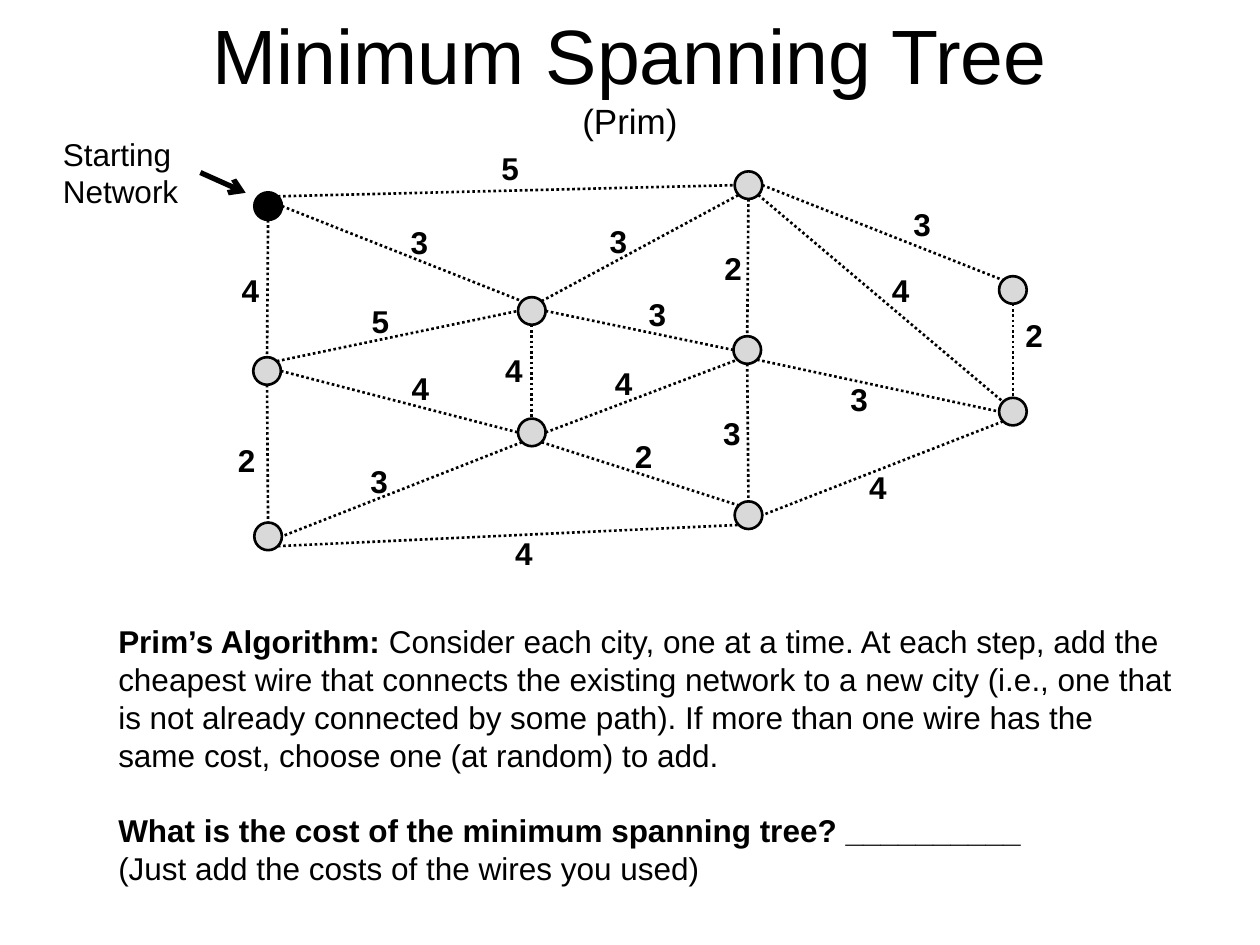
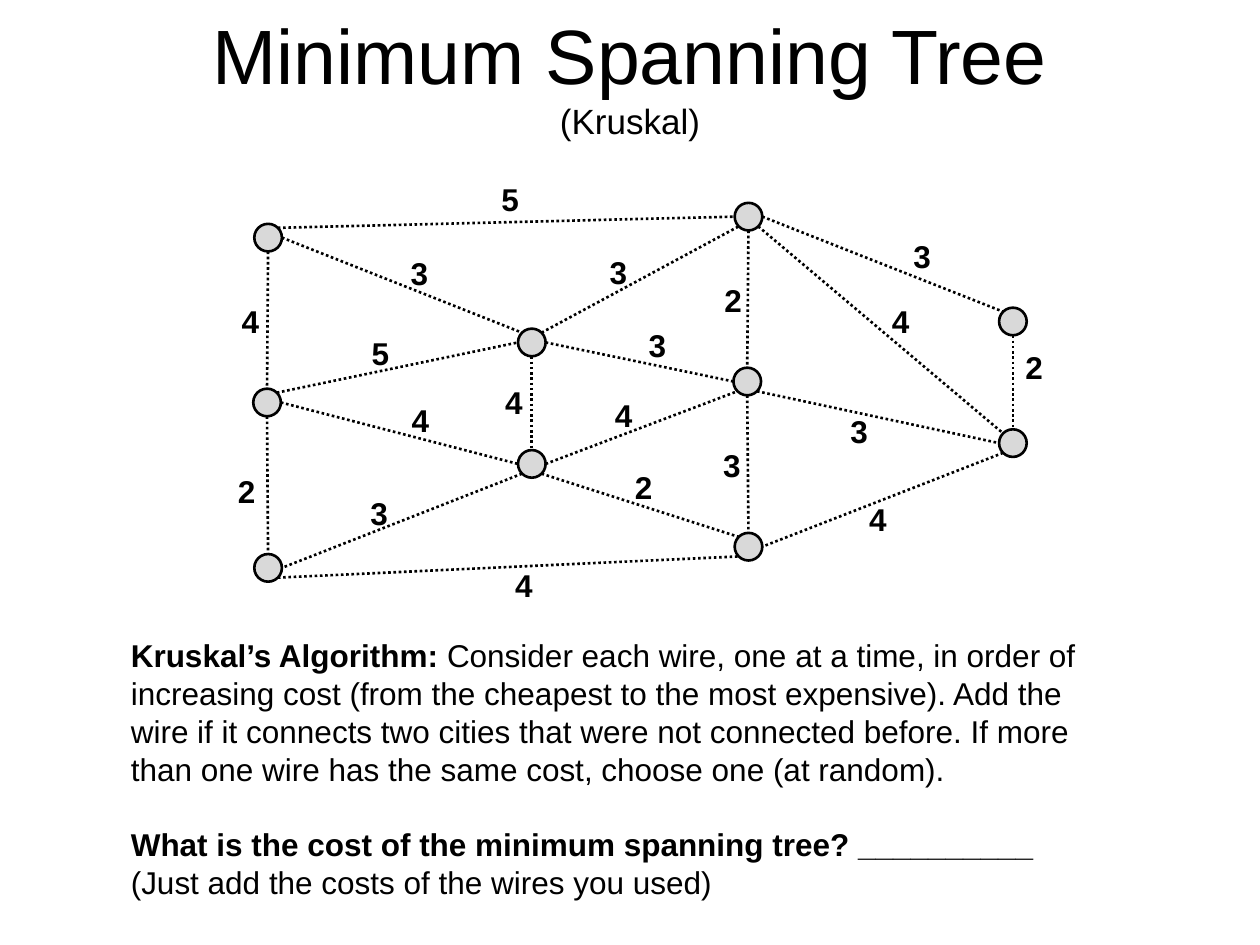
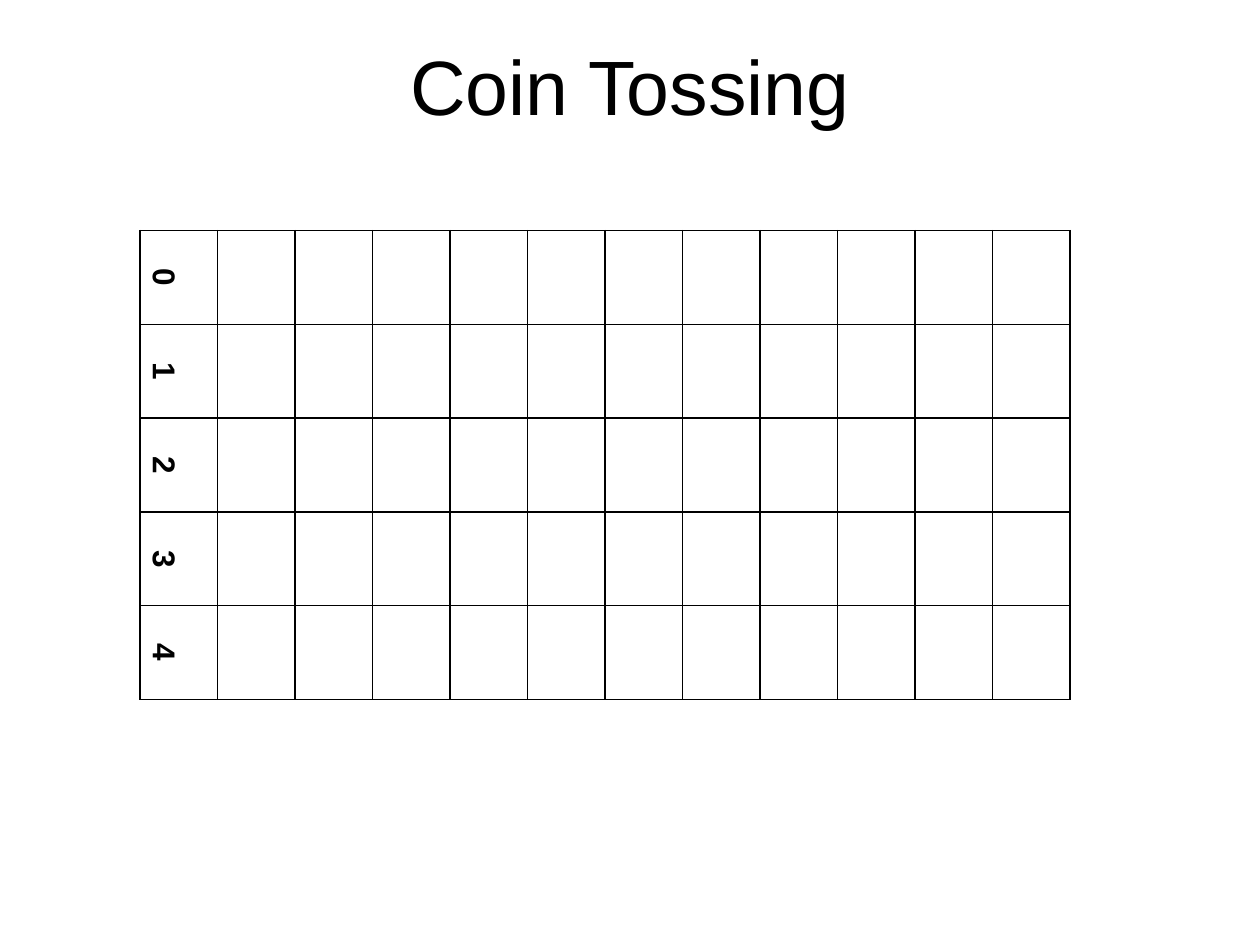
from lxml.etree import SubElement
from pptx import Presentation
from pptx.dml.color import RGBColor
from pptx.enum.dml import MSO_LINE
from pptx.enum.shapes import MSO_CONNECTOR, MSO_SHAPE
from pptx.enum.text import MSO_ANCHOR, MSO_AUTO_SIZE, PP_ALIGN
from pptx.oxml.ns import qn
from pptx.util import Pt

COLORS = {"ink": "000000", "city": "D9D9D9", "paper": "FFFFFF"}
FONT = "Arial"
BODY_SIZE = 18
LINE_HEIGHT = 21.6
CITY_RADIUS = 7.9
DIAGONAL = 0.707

SIDES = {
    "N": (0, -1), "S": (0, 1), "W": (-1, 0), "E": (1, 0),
    "NW": (-DIAGONAL, -DIAGONAL), "NE": (DIAGONAL, -DIAGONAL),
    "SW": (-DIAGONAL, DIAGONAL), "SE": (DIAGONAL, DIAGONAL),
}

CITIES = {
    "west_top": (153.2, 117.8), "west_middle": (152.6, 212), "west_bottom": (153.2, 306.5),
    "inner_top": (303.9, 177.7), "inner_bottom": (303.9, 247.1),
    "middle_top": (427.7, 105.8), "middle": (427, 200), "middle_bottom": (427.7, 294.4),
    "east_top": (578.8, 165.7), "east_bottom": (578.8, 235.2),
}

WIRES = [
    ("middle_top", "S", "middle", "N", 2, (406.8, 139)),
    ("middle", "S", "middle_bottom", "N", 3, (406.1, 233.3)),
    ("middle_top", "E", "east_top", "NW", 3, (514.8, 113.8)),
    ("east_top", "S", "east_bottom", "N", 2, (578.9, 177.1)),
    ("east_bottom", "SW", "middle_bottom", "E", 4, (489.6, 264.2)),
    ("west_top", "S", "west_middle", "N", 4, (131, 151.2)),
    ("west_middle", "S", "west_bottom", "N", 2, (128.9, 248.4)),
    ("west_top", "E", "inner_top", "NW", 3, (227.5, 123.8)),
    ("inner_top", "S", "inner_bottom", "N", 4, (281.5, 197.3)),
    ("inner_bottom", "SW", "west_bottom", "E", 3, (204.5, 260.6)),
    ("west_top", "NE", "middle_top", "W", 5, (279.4, 81.4)),
    ("west_bottom", "SE", "middle_bottom", "SW", 4, (287.3, 301.7)),
    ("west_middle", "NE", "inner_top", "W", 5, (205.2, 169.2)),
    ("west_middle", "E", "inner_bottom", "W", 4, (228.2, 207.4)),
    ("inner_top", "NE", "middle_top", "SW", 3, (341.3, 123.1)),
    ("inner_top", "E", "middle", "W", 3, (363.6, 164.9)),
    ("inner_bottom", "E", "middle", "SW", 4, (344.2, 204.5)),
    ("inner_bottom", "SE", "middle_bottom", "NW", 2, (355.7, 246.2)),
    ("middle_top", "SE", "east_bottom", "NW", 4, (502.6, 151.2)),
    ("middle", "SE", "east_bottom", "W", 3, (478.8, 213.8)),
]

PRIM = [
    "Consider each city, one at a time. At each step, add the cheapest wire that "
    "connects the existing network to a new city (i.e., one that is not already "
    "connected by some path). If more than one wire has the same cost, choose one "
    "(at random) to add.",
]
KRUSKAL = [
    "Consider each wire, one at a time, in order of increasing cost (from the "
    "cheapest to the most expensive). Add the",
    "wire if it connects two cities that were not connected before. If more than "
    "one wire has the same cost, choose one (at random).",
]


def color(name):
    return RGBColor.from_string(COLORS[name])


def add_span(para, text, size=BODY_SIZE, bold=False):
    span = para.add_run()
    span.text = text
    span.font.name = FONT
    span.font.size = Pt(size)
    span.font.bold = bold
    span.font.color.rgb = color("ink")


def add_text(page, left, top, width, height, paragraphs):
    box = page.shapes.add_textbox(Pt(left), Pt(top), Pt(width), Pt(height))
    frame = box.text_frame
    frame.word_wrap = True
    for index, (space_before, spans) in enumerate(paragraphs):
        para = frame.add_paragraph() if index else frame.paragraphs[0]
        para.space_before = Pt(space_before)
        for text, bold in spans:
            add_span(para, text, bold=bold)


def add_page(deck, title, top, height, subtitle=None):
    page = deck.slides.add_slide(deck.slide_layouts[5])
    box = page.shapes.title
    box.left, box.top, box.width, box.height = Pt(36), Pt(top), Pt(648), Pt(height)
    frame = box.text_frame
    frame.auto_size = MSO_AUTO_SIZE.NONE
    frame.vertical_anchor = MSO_ANCHOR.MIDDLE
    para = frame.paragraphs[0]
    para.alignment = PP_ALIGN.CENTER
    add_span(para, title, size=44)
    if subtitle:
        para.add_line_break()
        add_span(para, subtitle, size=20)
    return page


def add_line(page, start, end, width, dash=None, arrow=False):
    line = page.shapes.add_connector(MSO_CONNECTOR.STRAIGHT, *map(Pt, (*start, *end)))
    line.line.color.rgb = color("ink")
    line.line.width = Pt(width)
    if dash:
        line.line.dash_style = dash
    properties = line._element.spPr
    if arrow:
        SubElement(properties.find(qn("a:ln")), qn("a:tailEnd"), type="arrow")
    SubElement(properties, qn("a:effectLst"))


def add_city(page, center, fill):
    x, y = center
    city = page.shapes.add_shape(
        MSO_SHAPE.OVAL, Pt(x - CITY_RADIUS), Pt(y - CITY_RADIUS),
        Pt(2 * CITY_RADIUS), Pt(2 * CITY_RADIUS))
    city.shadow.inherit = False
    city.fill.solid()
    city.fill.fore_color.rgb = color(fill)
    city.line.color.rgb = color("ink")
    city.line.width = Pt(1.5)


def add_network(page, drop=0, start_city=None):
    centers = {name: (x, y + drop) for name, (x, y) in CITIES.items()}

    def rim(name, side):
        return [c + CITY_RADIUS * step for c, step in zip(centers[name], SIDES[side])]

    for name, center in centers.items():
        add_city(page, center, "ink" if name == start_city else "city")
    for first, first_side, second, second_side, cost, (left, top) in WIRES:
        add_line(page, rim(first, first_side), rim(second, second_side), 1.5,
                 dash=MSO_LINE.ROUND_DOT)
        add_text(page, left, top + drop, 22.3, 28.8, [(0, [(str(cost), True)])])


def add_algorithm(page, name, steps, left, top, width):
    paragraphs = [(0, [(f"{name}’s Algorithm: ", True), (steps[0], False)])]
    paragraphs += [(0, [(step, False)]) for step in steps[1:]]
    paragraphs += [
        (LINE_HEIGHT, [("What is the cost of the minimum spanning tree? __________", True)]),
        (0, [("(Just add the costs of the wires you used)", False)]),
    ]
    add_text(page, left, top, width, 160, paragraphs)


def format_cell(cell):
    properties = cell._tc.get_or_add_tcPr()
    for side in ("lnL", "lnR", "lnT", "lnB"):
        border = SubElement(properties, qn(f"a:{side}"), w=str(Pt(1)))
        fill = SubElement(border, qn("a:solidFill"))
        SubElement(fill, qn("a:srgbClr"), val=COLORS["ink"])
    cell.fill.solid()
    cell.fill.fore_color.rgb = color("paper")


def add_tally_table(page, left, top, column_count, column_width, row_count, row_height):
    table = page.shapes.add_table(
        row_count, column_count, Pt(left), Pt(top),
        Pt(column_count * column_width), Pt(row_count * row_height)).table
    table.first_row = False
    table.horz_banding = False
    for column in table.columns:
        column.width = Pt(column_width)
    for row in table.rows:
        row.height = Pt(row_height)
    for cell in table.iter_cells():
        format_cell(cell)
    for heads in range(row_count):
        cell = table.cell(heads, 0)
        cell._tc.tcPr.set("vert", "vert")
        para = cell.text_frame.paragraphs[0]
        para.alignment = PP_ALIGN.CENTER
        para.line_spacing = 1.5
        add_span(para, str(heads), bold=True)


def main():
    deck = Presentation()
    deck.slide_width, deck.slide_height = Pt(720), Pt(540)

    page = add_page(deck, "Minimum Spanning Tree", 15, 55.5, subtitle="(Prim)")
    add_algorithm(page, "Prim", PRIM, 60.5, 352, 619)
    add_network(page, start_city="west_top")
    add_text(page, 28.8, 73.4, 85.7, 51, [(0, [("Starting Network", False)])])
    add_line(page, (114.5, 98.6), (140.4, 110.2), 3, arrow=True)

    page = add_page(deck, "Minimum Spanning Tree", 15, 55.5, subtitle="(Kruskal)")
    add_algorithm(page, "Kruskal", KRUSKAL, 67.7, 360, 590)
    add_network(page, drop=18)

    page = add_page(deck, "Coin Tossing", 21.6, 54)
    add_tally_table(page, 80, 131.8, 12, 44.3, 5, 53.6)

    deck.save("out.pptx")


if __name__ == "__main__":
    main()
